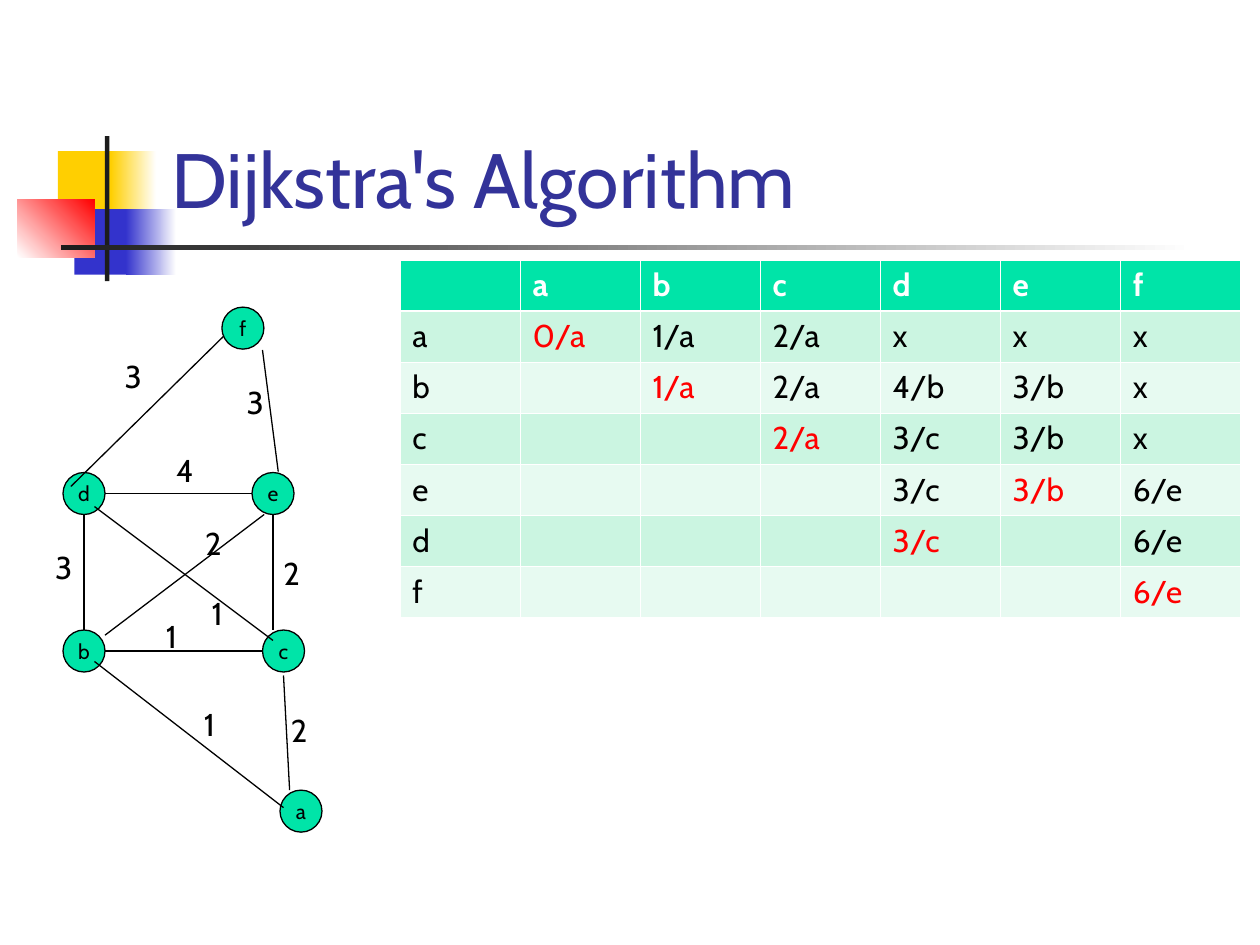
from typing import NamedTuple, Optional

from lxml.etree import SubElement
from pptx import Presentation
from pptx.dml.color import RGBColor
from pptx.enum.shapes import MSO_CONNECTOR as Connector, MSO_SHAPE as Shape
from pptx.enum.text import MSO_ANCHOR as Anchor, MSO_AUTO_SIZE as AutoSize, PP_ALIGN as Align
from pptx.oxml.ns import qn
from pptx.util import Pt

FONT = "Cabin"
BLACK, WHITE, RED = "000000", "FFFFFF", "FF0000"
YELLOW, BLUE, CHARCOAL, NAVY = "FFCF01", "3333CC", "1C1C1C", "333399"
GREEN, BAND_DARK, BAND_LIGHT = "00E4A8", "CBF5E1", "E7FAF1"
NODE_SIZE = 24
LABEL_WIDTH, LABEL_HEIGHT = 24.5, 28.8
TABLE_LEFT, TABLE_TOP = 228.5, 148.5
COLUMN_WIDTH, ROW_HEIGHT = 68.6, 29.2
THIN, THICK = 0.45, 1.47


class Block(NamedTuple):
    left: float
    top: float
    width: float
    height: float
    start: str
    end: Optional[str] = None
    angle: float = 0


class Node(NamedTuple):
    name: str
    left: float
    top: float


class Edge(NamedTuple):
    x1: float
    y1: float
    x2: float
    y2: float


class Weight(NamedTuple):
    value: str
    left: float
    top: float


BLOCKS = [
    Block(33.1, 86.4, 34.6, 37.4, YELLOW),
    Block(63.4, 86.4, 25.9, 37.4, YELLOW, WHITE),
    Block(42.5, 119.5, 33.1, 37.4, BLUE),
    Block(72, 119.5, 28.8, 37.4, BLUE, WHITE),
    Block(10.1, 113.8, 43.9, 33.1, WHITE, RED, 45),
    Block(60, 77.8, 2.5, 82.8, CHARCOAL),
    Block(34.6, 140.2, 648, 2.5, CHARCOAL, WHITE),
]
LOWER_NODES = [
    Node("d", 36, 270),
    Node("e", 144, 270),
    Node("b", 36, 360),
    Node("c", 150, 360),
    Node("a", 160, 451.5),
]
TOP_NODE = Node("f", 126.8, 175.5)
EDGES = [
    Edge(60, 282, 144, 282),
    Edge(48, 294, 48, 360),
    Edge(60, 372, 150, 372),
    Edge(156, 294, 156, 360),
    Edge(40.5, 278, 130.5, 189.5),
    Edge(159, 269.5, 150, 200),
    Edge(162, 386, 165.5, 451.5),
    Edge(54, 289.5, 156, 366),
    Edge(54, 378, 162, 461.5),
    Edge(60, 363, 151, 294),
]
WEIGHTS = [
    Weight("4", 93.6, 254.2),
    Weight("3", 133.9, 215.3),
    Weight("2", 110.2, 295.9),
    Weight("3", 24.5, 309.6),
    Weight("1", 87.8, 349.2),
    Weight("1", 109.4, 399.6),
    Weight("2", 159.1, 402.5),
    Weight("3", 64.1, 200.2),
    Weight("2", 154.8, 313.2),
    Weight("1", 113.8, 336.2),
]
DISTANCES = [
    ["", "a", "b", "c", "d", "e", "f"],
    ["a", "0/a", "1/a", "2/a", "x", "x", "x"],
    ["b", "", "1/a", "2/a", "4/b", "3/b", "x"],
    ["c", "", "", "2/a", "3/c", "3/b", "x"],
    ["e", "", "", "", "3/c", "3/b", "6/e"],
    ["d", "", "", "", "3/c", "", "6/e"],
    ["f", "", "", "", "", "", "6/e"],
]


def rgb(color: str) -> RGBColor:
    return RGBColor.from_string(color)


def write_text(frame, text: str, *, size: float = 18, color: str = BLACK,
               bold: bool = False, align=Align.LEFT) -> None:
    paragraph = frame.paragraphs[0]
    paragraph.alignment = align
    run = paragraph.add_run()
    run.text = text
    run.font.name = FONT
    run.font.size = Pt(size)
    run.font.bold = bold
    run.font.color.rgb = rgb(color)


def paint(fill, color: str) -> None:
    fill.solid()
    fill.fore_color.rgb = rgb(color)


def draw_title(slide, text: str) -> None:
    title = slide.shapes.title
    title.left, title.top, title.width, title.height = map(Pt, (90.7, 16.6, 613.4, 115.2))
    title.text_frame.auto_size = AutoSize.NONE
    title.text_frame.vertical_anchor = Anchor.BOTTOM
    write_text(title.text_frame, text, size=44, color=NAVY)


def draw_block(slide, block: Block) -> None:
    rectangle = slide.shapes.add_shape(Shape.RECTANGLE, *map(Pt, block[:4]))
    rectangle.shadow.inherit = False
    rectangle.line.fill.background()
    if block.end is None:
        paint(rectangle.fill, block.start)
        return
    rectangle.fill.gradient()
    rectangle.fill.gradient_angle = block.angle
    for stop, color in zip(rectangle.fill.gradient_stops, (block.start, block.end)):
        stop.color.rgb = rgb(color)


def draw_node(slide, node: Node) -> None:
    circle = slide.shapes.add_shape(
        Shape.OVAL, Pt(node.left), Pt(node.top), Pt(NODE_SIZE), Pt(NODE_SIZE))
    circle.shadow.inherit = False
    paint(circle.fill, GREEN)
    circle.line.color.rgb = rgb(BLACK)
    circle.line.width = Pt(0.75)
    circle.text_frame.word_wrap = False
    circle.text_frame.vertical_anchor = Anchor.MIDDLE
    write_text(circle.text_frame, node.name, size=12, align=Align.CENTER)


def draw_edge(slide, edge: Edge) -> None:
    line = slide.shapes.add_connector(Connector.STRAIGHT, *map(Pt, edge))
    line.line.color.rgb = rgb(BLACK)
    line.line.width = Pt(0.75)
    SubElement(line._element.spPr, qn("a:effectLst"))


def draw_weight(slide, weight: Weight) -> None:
    label = slide.shapes.add_textbox(
        Pt(weight.left), Pt(weight.top), Pt(LABEL_WIDTH), Pt(LABEL_HEIGHT))
    label.text_frame.word_wrap = False
    label.text_frame.auto_size = AutoSize.SHAPE_TO_FIT_TEXT
    write_text(label.text_frame, weight.value)


def add_borders(cell, top: float, bottom: float) -> None:
    properties = cell._tc.get_or_add_tcPr()
    for side, width in (("L", THIN), ("R", THIN), ("T", top), ("B", bottom)):
        border = SubElement(properties, qn(f"a:ln{side}"), w=str(Pt(width)))
        SubElement(SubElement(border, qn("a:solidFill")), qn("a:srgbClr"), val=WHITE)


def draw_distances(slide, rows: list[list[str]]) -> None:
    header = rows[0]
    table = slide.shapes.add_table(
        len(rows), len(header), Pt(TABLE_LEFT), Pt(TABLE_TOP),
        Pt(COLUMN_WIDTH * len(header)), Pt(ROW_HEIGHT * len(rows))).table
    for column in table.columns:
        column.width = Pt(COLUMN_WIDTH)
    for r, values in enumerate(rows):
        table.rows[r].height = Pt(ROW_HEIGHT)
        band = GREEN if r == 0 else BAND_DARK if r % 2 else BAND_LIGHT
        for c, value in enumerate(values):
            cell = table.cell(r, c)
            add_borders(cell, THICK if r == 1 else THIN, THICK if r == 0 else THIN)
            paint(cell.fill, band)
            if value:
                settled = values[0] == header[c]
                color = WHITE if r == 0 else RED if settled else BLACK
                write_text(cell.text_frame, value, color=color, bold=r == 0)


def main() -> None:
    deck = Presentation()
    deck.slide_width, deck.slide_height = Pt(720), Pt(540)
    slide = deck.slides.add_slide(deck.slide_layouts[5])
    for block in BLOCKS:
        draw_block(slide, block)
    draw_title(slide, "Dijkstra's Algorithm")
    for node in LOWER_NODES:
        draw_node(slide, node)
    for edge in EDGES:
        draw_edge(slide, edge)
    draw_node(slide, TOP_NODE)
    for weight in WEIGHTS:
        draw_weight(slide, weight)
    draw_distances(slide, DISTANCES)
    deck.save("out.pptx")


if __name__ == "__main__":
    main()
